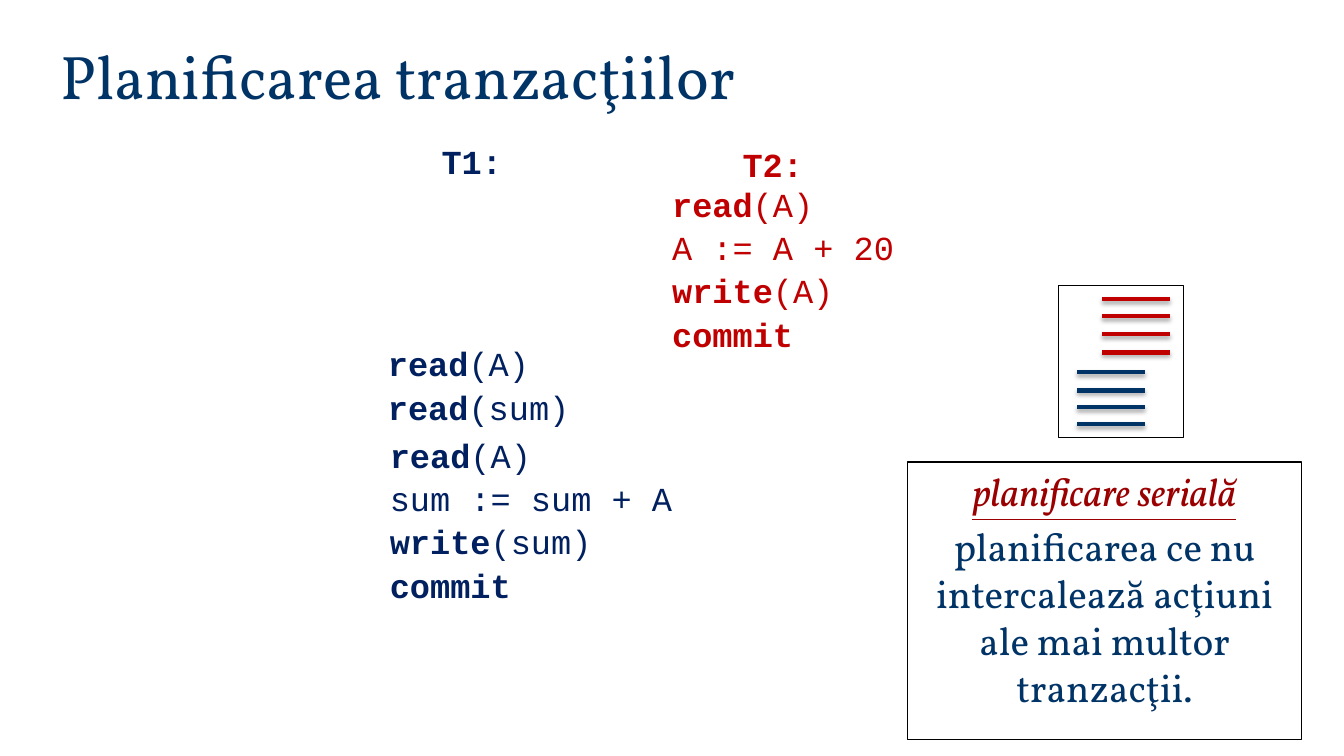
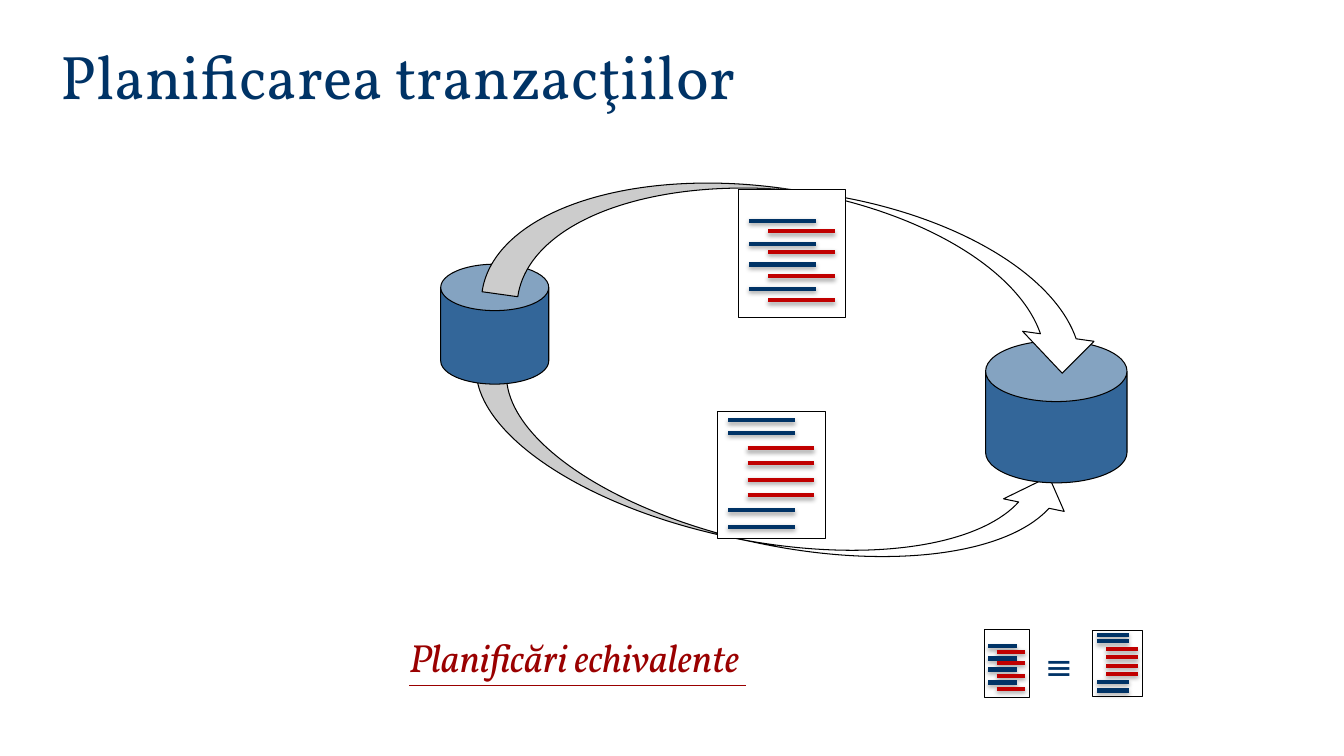
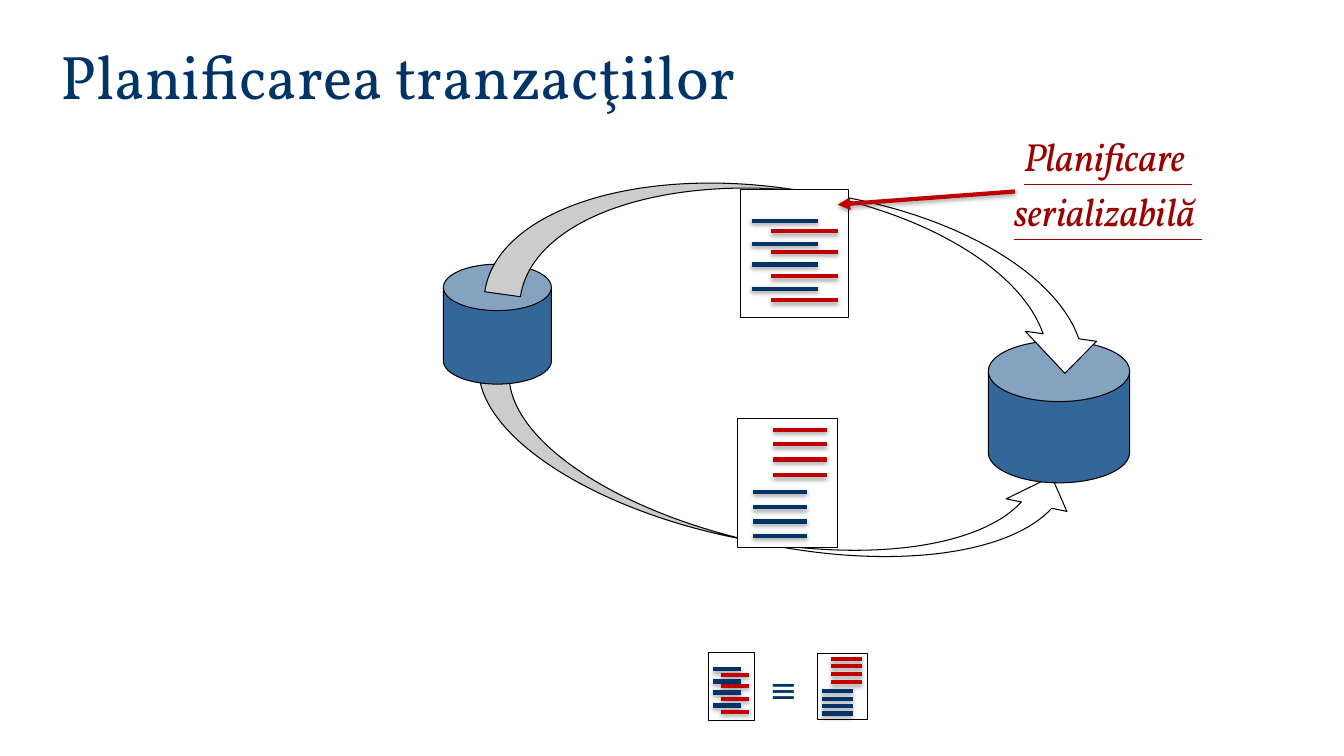
import dataclasses

import lxml.etree
import pptx
import pptx.dml.color
import pptx.enum.shapes
import pptx.enum.text
import pptx.oxml
import pptx.oxml.ns
import pptx.util

Pt = pptx.util.Pt
SHAPE = pptx.enum.shapes.MSO_SHAPE
ALIGN = pptx.enum.text.PP_ALIGN
ANCHOR = pptx.enum.text.MSO_ANCHOR


@dataclasses.dataclass(frozen=True)
class Style:
    font: str
    size: float
    color: str
    bold: bool = False
    italic: bool = False
    underline: bool = False


@dataclasses.dataclass(frozen=True)
class Theme:
    navy: str = "003366"
    red: str = "C00000"
    can: str = "336699"
    white: str = "FFFFFF"
    black: str = "000000"
    title: Style = Style("Vollkorn", 44, "003366")
    body: Style = Style("Vollkorn", 28, "003366")
    term: Style = Style("Vollkorn", 28, "9A0000", italic=True, underline=True)
    code_t1: Style = Style("Courier New", 24, "002060")
    code_t2: Style = Style("Courier New", 24, "C00000")
    symbol: Style = Style("DejaVu Sans", 24, "003366")
    body_gap: float = 5.6
    code_gap: float = 2.1
    outline: float = 0.75
    card_outline: float = 0.5
    bar: float = 3


THEME = Theme()
SLIDE_SIZE = (960, 540)

# Content: code lines are (keyword in bold, rest)
TITLE = "Planificarea tranzacţiilor"
DEFINITION = [
    ("planificare serială", THEME.term),
    ("planificarea ce nu intercalează acţiuni ale mai multor tranzacţii.", THEME.body),
]
CODE_BLOCKS = [
    # left, top, width, height, style, alignment, lines
    (222, 100, 230, 30, THEME.code_t1, ALIGN.CENTER, [("T1:", "")]),
    (464, 102, 176, 30, THEME.code_t2, ALIGN.CENTER, [("T2:", "")]),
    (473, 130, 176, 124, THEME.code_t2, ALIGN.LEFT,
     [("read", "(A)"), ("", "A := A + 20"), ("write", "(A)"), ("commit", "")]),
    (270, 245, 230, 60, THEME.code_t1, ALIGN.LEFT,
     [("read", "(A)"), ("read", "(sum)")]),
    (271.4, 309.4, 230, 124, THEME.code_t1, ALIGN.LEFT,
     [("read", "(A)"), ("", "sum := sum + A"), ("write", "(sum)"), ("commit", "")]),
]
EQUIVALENT = [("Planificări echivalente ", THEME.term)]
SERIALIZABLE = [("Planificare ", THEME.term), ("serializabilă ", THEME.term)]

# Schedules: transaction order, and bar heights as fractions of the card
INTERLEAVED = ("12121212", (0.25, 0.33, 0.43, 0.49, 0.59, 0.68, 0.78, 0.87))
NESTED = ("11222211", (0.07, 0.17, 0.29, 0.41, 0.54, 0.66, 0.78, 0.91))
SERIAL = ("22221111", (0.09, 0.2, 0.32, 0.44, 0.57, 0.69, 0.8, 0.91))

# Bar start of T1 and T2, and bar length, as fractions of the card width
WIDE_BARS = (0.1, 0.28, 0.62)
SHORT_BARS = (0.15, 0.35, 0.54)


def rgb(color):
    return pptx.dml.color.RGBColor.from_string(color)


def write_paragraphs(shape, paragraphs, alignment, gap, anchor=ANCHOR.TOP, wrap=True):
    """Fill a shape with paragraphs, each a list of (text, style) runs."""
    frame = shape.text_frame
    frame.word_wrap = wrap
    frame.vertical_anchor = anchor
    for index, runs in enumerate(paragraphs):
        paragraph = frame.add_paragraph() if index else frame.paragraphs[0]
        paragraph.alignment = alignment
        paragraph.space_before = Pt(gap)
        for text, style in runs:
            run = paragraph.add_run()
            run.text = text
            run.font.name = style.font
            run.font.size = Pt(style.size)
            run.font.color.rgb = rgb(style.color)
            run.font.bold = style.bold
            run.font.italic = style.italic
            run.font.underline = style.underline


def add_text(slide, box, paragraphs, alignment=ALIGN.LEFT, gap=0, **options):
    shape = slide.shapes.add_textbox(*map(Pt, box))
    write_paragraphs(shape, paragraphs, alignment, gap, **options)


def add_terms(slide, box, terms):
    add_text(slide, box, [[term] for term in terms], ALIGN.CENTER, THEME.body_gap)


def add_outlined(shapes, kind, box, fill=None, outline=THEME.outline, rotation=0):
    shape = shapes.add_shape(kind, *map(Pt, box))
    shape.shadow.inherit = False
    shape.rotation = rotation
    if fill:
        shape.fill.solid()
        shape.fill.fore_color.rgb = rgb(fill)
    else:
        shape.fill.background()
    shape.line.color.rgb = rgb(THEME.black)
    shape.line.width = Pt(outline)
    return shape


def add_bar(shapes, start, end, color):
    """Draw a thick line with a soft shadow below it."""
    line = shapes.add_connector(
        pptx.enum.shapes.MSO_CONNECTOR.STRAIGHT, *map(Pt, (*start, *end)))
    line.line.color.rgb = rgb(color)
    line.line.width = Pt(THEME.bar)
    line._element.spPr.append(pptx.oxml.parse_xml(
        f'<a:effectLst {pptx.oxml.ns.nsdecls("a")}>'
        '<a:outerShdw blurRad="40000" dist="23000" dir="5400000" rotWithShape="0">'
        f'<a:srgbClr val="{THEME.black}"><a:alpha val="35000"/></a:srgbClr>'
        '</a:outerShdw></a:effectLst>'))
    return line


def add_arrowhead(connector):
    line = connector.line._get_or_add_ln()
    lxml.etree.SubElement(line, pptx.oxml.ns.qn("a:tailEnd"), type="triangle")


def add_schedule(slide, box, schedule, bars=WIDE_BARS):
    """Draw a card whose bars show the order of the operations of T1 and T2."""
    left, top, width, height = box
    first_start, second_start, length = bars
    looks = {"1": (first_start, THEME.navy), "2": (second_start, THEME.red)}
    shapes = slide.shapes.add_group_shape().shapes
    add_outlined(shapes, SHAPE.RECTANGLE, box, THEME.white, THEME.card_outline)
    for transaction, fraction in zip(*schedule):
        start, color = looks[transaction]
        x, y = left + start * width, top + fraction * height
        add_bar(shapes, (x, y), (x + length * width, y), color)


def add_equivalence(slide, left, top, schedule):
    add_schedule(slide, (left, top, 32.6, 49), INTERLEAVED)
    add_text(slide, (left + 36.4, top + 8.6, 34.6, 36), [[("≡", THEME.symbol)]], wrap=False)
    add_schedule(slide, (left + 77.5, top + 0.7, 36, 47.5), schedule)


def add_two_routes(slide, shift=0):
    """Draw two database states joined by an upper and a lower route."""
    parts = [
        (SHAPE.CURVED_UP_ARROW, (327.4, 299.5, 439.2, 88.6), THEME.white, 11.7),
        (SHAPE.CAN, (314.8, 188.7, 77.2, 85.7), THEME.can, 0),
        (SHAPE.CAN, (704, 243.4, 101, 101.5), THEME.can, 0),
        (SHAPE.CURVED_DOWN_ARROW, (349.4, 136.8, 444.2, 103), THEME.white, 8),
    ]
    for kind, (left, *rest), fill, rotation in parts:
        shape = add_outlined(
            slide.shapes, kind, (left + shift, *rest), fill, rotation=rotation)
        if kind == SHAPE.CAN:
            shape.adjustments[0] = 0.43
    add_schedule(slide, (527.2 + shift, 135, 77, 91.4), INTERLEAVED)


def add_titled_slide(presentation):
    slide = presentation.slides.add_slide(presentation.slide_layouts[6])
    add_text(slide, (36, 23, 798, 60.5), [[(TITLE, THEME.title)]], anchor=ANCHOR.BOTTOM)
    return slide


def build_serial_slide(presentation):
    slide = add_titled_slide(presentation)
    for *box, style, alignment, lines in CODE_BLOCKS:
        keyword_style = dataclasses.replace(style, bold=True)
        paragraphs = [
            [(text, look) for text, look in ((keyword, keyword_style), (rest, style)) if text]
            for keyword, rest in lines
        ]
        add_text(slide, box, paragraphs, alignment, THEME.code_gap, anchor=ANCHOR.MIDDLE)
    add_schedule(slide, (756, 204, 89.3, 108.7), SERIAL, SHORT_BARS)
    definition = add_outlined(slide.shapes, SHAPE.RECTANGLE, (648, 330, 282, 198))
    write_paragraphs(
        definition, [[part] for part in DEFINITION], ALIGN.CENTER, THEME.body_gap)


def build_equivalent_slide(presentation):
    slide = add_titled_slide(presentation)
    add_two_routes(slide)
    add_schedule(slide, (512.4, 293.8, 77, 90.7), NESTED)
    add_terms(slide, (250, 448.6, 325.4, 66), EQUIVALENT)
    add_equivalence(slide, 702.8, 449.3, NESTED)


def build_serializable_slide(presentation):
    slide = add_titled_slide(presentation)
    add_two_routes(slide, shift=1.9)
    add_schedule(slide, (527, 298.8, 71.3, 92.2), SERIAL, SHORT_BARS)
    add_equivalence(slide, 506, 465.8, SERIAL)
    add_terms(slide, (628.6, 90.7, 325.4, 66), SERIALIZABLE)
    add_arrowhead(add_bar(slide.shapes, (725, 136.8), (598.3, 146.2), THEME.red))


def main():
    presentation = pptx.Presentation()
    presentation.slide_width, presentation.slide_height = map(Pt, SLIDE_SIZE)
    build_serial_slide(presentation)
    build_equivalent_slide(presentation)
    build_serializable_slide(presentation)
    presentation.save("out.pptx")


if __name__ == "__main__":
    main()
